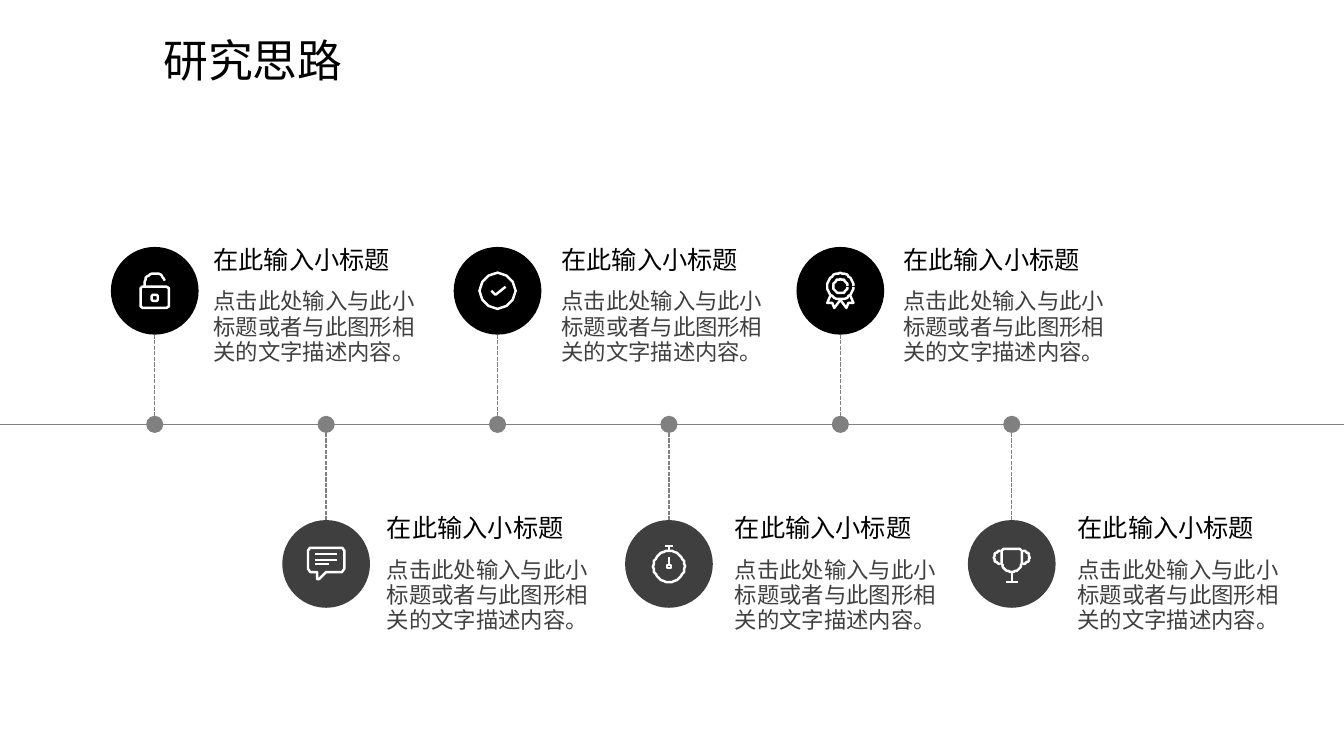
from dataclasses import dataclass
from math import cos, radians, sin

from lxml.etree import SubElement
from pptx import Presentation
from pptx.dml.color import RGBColor
from pptx.enum.dml import MSO_LINE
from pptx.enum.shapes import MSO_CONNECTOR, MSO_SHAPE
from pptx.enum.text import MSO_ANCHOR, MSO_AUTO_SIZE
from pptx.oxml.ns import qn
from pptx.util import Inches, Pt

FONT = "Noto Sans CJK SC"
BLACK, GREY, WHITE = "000000", "808080", "FFFFFF"
WIDE, HIGH = 13.33, 7.5
COL = 1.7  # width of one timeline column
FIRST = 1.535  # centre of the first column
AXIS = 4.21
DISC, DOT = 0.87, 0.17
LABEL = "在此输入小标题"
DETAIL = "点击此处输入与此小标题或者与此图形相关的文字描述内容。"

Point = tuple[float, float]
Stroke = list[Point]


@dataclass
class Row:
    mid: float
    top: float
    fill: str


@dataclass
class Step:
    icon: list[Stroke]
    left: float


def arc(x: float, y: float, r: float, start: float = 0, end: float = 360) -> Stroke:
    """Points on an arc, angles in degrees clockwise from the right."""
    count = max(6, round(abs(end - start) / 10))
    turns = [radians(start + (end - start) * i / count) for i in range(count + 1)]
    return [(x + r * cos(t), y + r * sin(t)) for t in turns]


def frame(x1: float, y1: float, x2: float, y2: float, r: float) -> Stroke:
    """A rounded box, from its lower left corner clockwise."""
    pts = (arc(x1 + r, y2 - r, r, 90, 180) + arc(x1 + r, y1 + r, r, 180, 270)
           + arc(x2 - r, y1 + r, r, 270, 360) + arc(x2 - r, y2 - r, r, 0, 90))
    return pts + pts[:1]


# Icon strokes are in hundredths of an inch from the centre of the disc.
LOCK = [frame(-14, -4, 14, 17, 3), arc(0, 7, 3.3),
        [(-10, -4)] + arc(0, -7.5, 10, 180, 345)]
CHAT = [frame(-17.5, -16.5, 17.5, 8, 3)[:-1]
        + [(0, 8), (-7, 15), (-9, 15), (-9, 8), (-14.5, 8)],
        [(-11, -9.5), (11, -9.5)], [(-11, -4.5), (11, -4.5)], [(-11, 0), (3, 0)]]
CHECK = [arc(0, 0, 17.5), [(-5.5, 0), (-1.5, 4.5), (7.5, -4)]]
MEDAL = [arc(0, -4.5, 13), arc(0, -4.5, 7)] + [
    [(s * x, y) for x, y in ((10, 5), (13, 12), (8, 12.5), (5.5, 17), (0.5, 9))]
    for s in (-1, 1)]
WATCH = [arc(0, 2.5, 15.5), arc(0, 2.5, 2), [(0, -7), (0, 1)],
         [(-4.5, -17.5), (4.5, -17.5)], [(0, -17.5), (0, -13)]]
CUP = [[(-10, -2), (-10, -13), (-8, -15), (8, -15), (10, -13)] + arc(0, -2, 10, 0, 180),
       arc(-11, -6.5, 6.5, 270, 90), arc(11, -6.5, 6.5, -90, 90),
       [(0, 8), (0, 17.5)], [(-6.5, 17.5), (6.5, 17.5)]]

ROWS = [Row(2.885, 2.37, BLACK), Row(5.595, 5.03, "3F3F3F")]
STEPS = [Step(LOCK, 2.02), Step(CHAT, 3.74), Step(CHECK, 5.47),
         Step(WATCH, 7.19), Step(MEDAL, 8.86), Step(CUP, 10.59)]

deck = Presentation()
deck.slide_width, deck.slide_height = Inches(WIDE), Inches(HIGH)
slide = deck.slides.add_slide(deck.slide_layouts[6])
shapes = slide.shapes


def hue(code: str) -> RGBColor:
    return RGBColor.from_string(code)


def line(x1: float, y1: float, x2: float, y2: float, size: float, dash: bool = False) -> None:
    rule = shapes.add_connector(MSO_CONNECTOR.STRAIGHT, Inches(x1), Inches(y1),
                                Inches(x2), Inches(y2))
    rule.line.color.rgb = hue(GREY)
    rule.line.width = Pt(size)
    if dash:
        rule.line.dash_style = MSO_LINE.SQUARE_DOT
    SubElement(rule._element.spPr, qn("a:effectLst"))


def disc(x: float, y: float, size: float, fill: str) -> None:
    """A filled circle centred on a point."""
    oval = shapes.add_shape(MSO_SHAPE.OVAL, Inches(x - size / 2), Inches(y - size / 2),
                            Inches(size), Inches(size))
    oval.shadow.inherit = False
    oval.fill.solid()
    oval.fill.fore_color.rgb = hue(fill)
    oval.line.fill.background()


def draw(icon: list[Stroke], x: float, y: float) -> None:
    """One outline made of all the strokes of an icon."""
    pen = shapes.build_freeform(*icon[0][0], scale=Inches(0.01))
    for i, stroke in enumerate(icon):
        if i:
            pen.move_to(*stroke[0])
        pen.add_line_segments(stroke[1:], close=False)
    sign = pen.convert_to_shape(Inches(x), Inches(y))
    sign.shadow.inherit = False
    sign.fill.background()
    sign.line.color.rgb = hue(WHITE)
    sign.line.width = Pt(1.75)


def write(text: str, x: float, y: float, w: float, h: float, size: float, color: str,
          wrap: bool = True, pitch: float = 0, anchor: MSO_ANCHOR = MSO_ANCHOR.TOP) -> None:
    box = shapes.add_textbox(Inches(x), Inches(y), Inches(w), Inches(h)).text_frame
    box.word_wrap = wrap
    box.auto_size = MSO_AUTO_SIZE.SHAPE_TO_FIT_TEXT
    box.vertical_anchor = anchor
    para = box.paragraphs[0]
    para.text = text
    if pitch:
        para.line_spacing = Pt(pitch)
    font = para.font
    font.size, font.name = Pt(size), FONT
    font.color.rgb = hue(color)
    SubElement(font._rPr, qn("a:ea"), typeface=FONT)


write("研究思路", 1.52, 0.27, 7.78, 0.64, 32, BLACK, anchor=MSO_ANCHOR.MIDDLE)
line(0, AXIS, WIDE, AXIS, 0.5)
for i, step in enumerate(STEPS):
    x, row = FIRST + i * COL, ROWS[i % 2]
    side = 1 if row.mid > AXIS else -1
    ends = sorted([AXIS + side * DOT / 2, row.mid - side * DISC / 2])
    line(x, ends[0], x, ends[1], 1, dash=True)
    disc(x, AXIS, DOT, GREY)
    disc(x, row.mid, DISC, row.fill)
    draw(step.icon, x, row.mid)
    write(LABEL, step.left, row.top, 1.97, 0.4, 18, BLACK, wrap=False)
    write(DETAIL, step.left, row.top + 0.45, 2.24, 0.86, 16, "404040", pitch=18)

deck.save("out.pptx")
